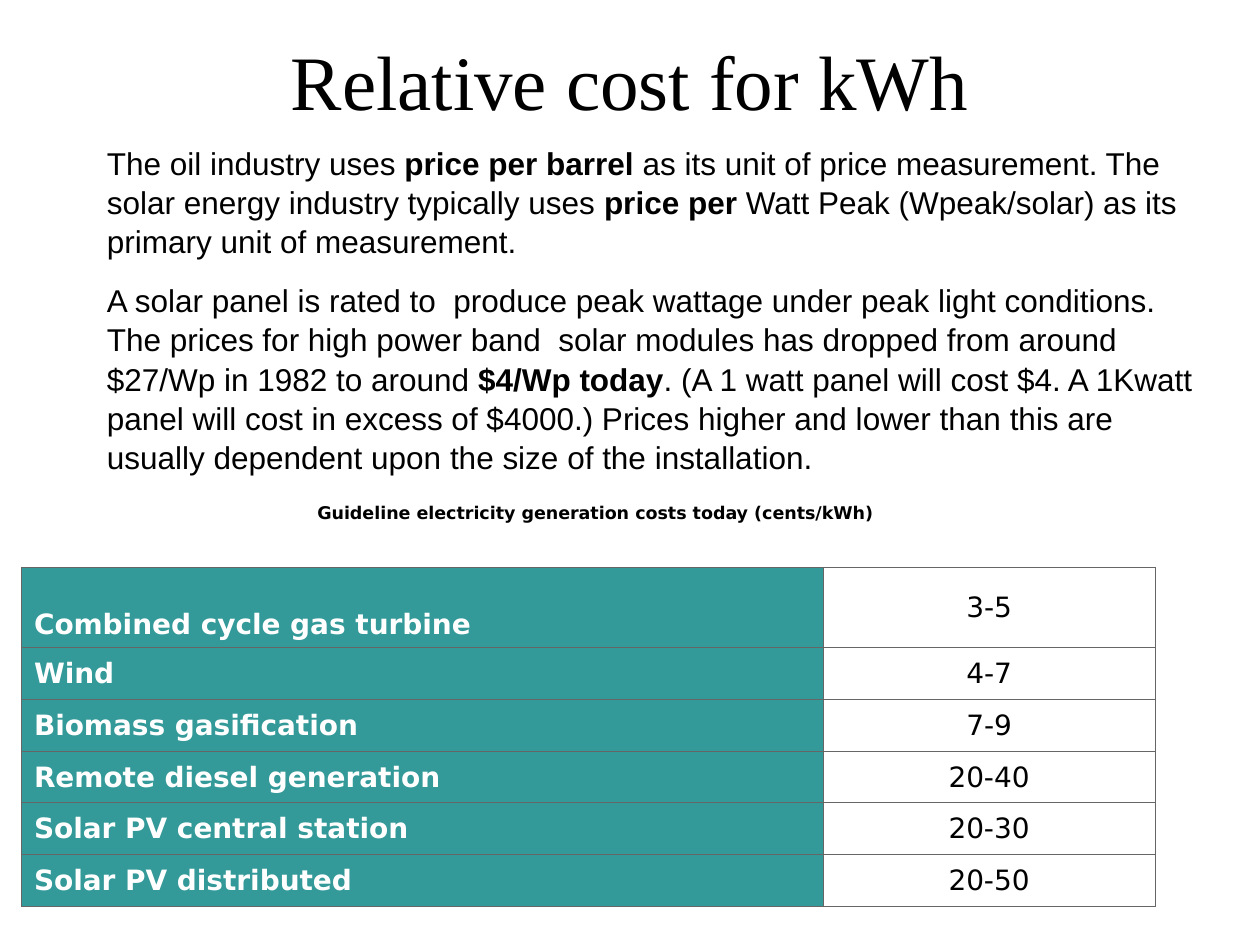
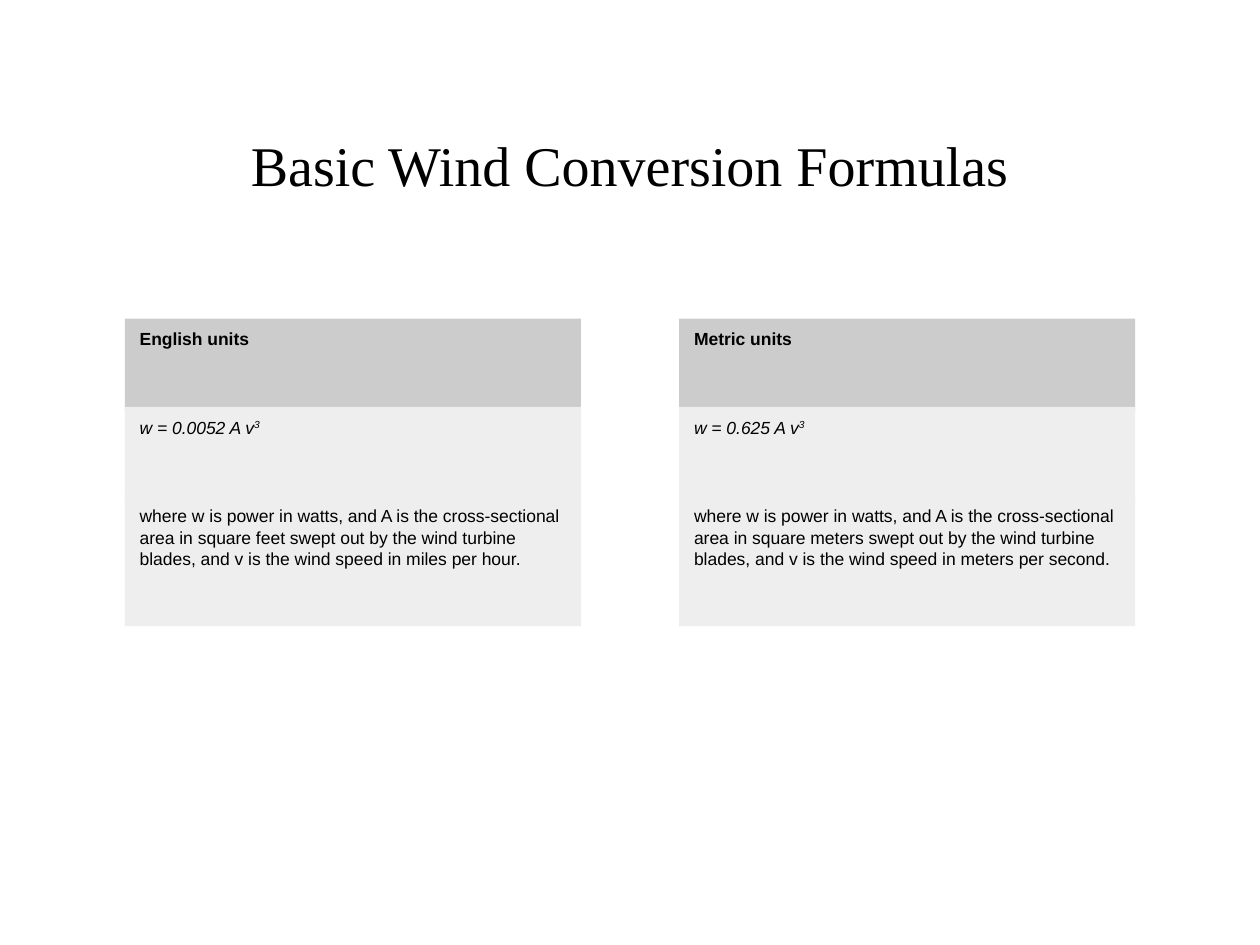
from typing import NamedTuple

from lxml.etree import SubElement
from pptx import Presentation
from pptx.dml.color import RGBColor
from pptx.enum.shapes import MSO_SHAPE
from pptx.enum.text import MSO_ANCHOR, MSO_AUTO_SIZE, PP_ALIGN
from pptx.oxml.ns import qn
from pptx.util import Emu, Inches, Pt

WIDE, HIGH = Inches(10), Inches(7.5)
COLS, ROWS = 100, 75  # grid that all boxes are placed on

BLACK, WHITE = "000000", "FFFFFF"
TEAL, RULE = "339999", "666666"
HEAD, PALE = "CCCCCC", "EEEEEE"
SERIF, SANS, TABLE = "Times New Roman", "Arial", "DejaVu Sans"
LEAD = 1.04


class Box(NamedTuple):
    """Place and size in grid columns and rows."""
    col: float
    row: float
    wide: float
    high: float

    def emu(self) -> tuple:
        return (across(self.col), down(self.row),
                across(self.wide), down(self.high))


class Piece(NamedTuple):
    text: str
    bold: bool = False
    slant: bool = False
    lift: bool = False


class Style(NamedTuple):
    font: str
    size: float
    ink: str = BLACK
    align: PP_ALIGN = PP_ALIGN.LEFT
    gap: float = 0


class Band(NamedTuple):
    """One row of the unit panels."""
    high: float
    fill: str
    texts: list


BODY = Style(SANS, 18, gap=11.2)
NOTE = Style(TABLE, 10)
SMALL = Style(SANS, 10)
LABEL = Style(TABLE, 16, WHITE)
VALUE = Style(TABLE, 16, align=PP_ALIGN.CENTER)

PROSE = [
    [Piece("The oil industry uses "), Piece("price per barrel", bold=True),
     Piece(" as its unit of price measurement. The solar energy industry "
           "typically uses "),
     Piece("price per ", bold=True),
     Piece("Watt Peak (Wpeak/solar) as its primary unit of measurement.")],
    [Piece("A solar panel is rated to  produce peak wattage under peak light "
           "conditions. The prices for high power band  solar modules has "
           "dropped from around $27/Wp in 1982 to around "),
     Piece("$4/Wp today", bold=True),
     Piece(". (A 1 watt panel will cost $4. A 1Kwatt panel will cost in "
           "excess of $4000.) Prices higher and lower than this are usually "
           "dependent upon the size of the installation.")],
]
COSTS = [
    ("Combined cycle gas turbine", "3-5"),
    ("Wind", "4-7"),
    ("Biomass gasification", "7-9"),
    ("Remote diesel generation", "20-40"),
    ("Solar PV central station", "20-30"),
    ("Solar PV distributed", "20-50"),
]


def across(cols: float) -> Emu:
    return Emu(round(WIDE * cols / COLS))


def down(rows: float) -> Emu:
    return Emu(round(HIGH * rows / ROWS))


def tint(code: str) -> RGBColor:
    return RGBColor.from_string(code)


def apply(target, values: dict) -> None:
    for name, value in values.items():
        setattr(target, name, value)


def write(frame, paras: list, style: Style) -> None:
    for num, pieces in enumerate(paras):
        para = frame.add_paragraph() if num else frame.paragraphs[0]
        apply(para, {"alignment": style.align, "line_spacing": LEAD,
                     "space_before": Pt(style.gap if num else 0)})
        for piece in pieces:
            run = para.add_run()
            run.text = piece.text
            apply(run.font, {"name": style.font, "size": Pt(style.size),
                             "bold": piece.bold, "italic": piece.slant})
            run.font.color.rgb = tint(style.ink)
            if piece.lift:
                run._r.get_or_add_rPr().set("baseline", "30000")


def start(deck, text: str, size: float, box: Box):
    """Add a slide with its title."""
    slide = deck.slides.add_slide(deck.slide_layouts[5])
    title = slide.shapes.title
    apply(title, dict(zip(("left", "top", "width", "height"), box.emu())))
    apply(title.text_frame, {"word_wrap": True,
                             "auto_size": MSO_AUTO_SIZE.NONE,
                             "vertical_anchor": MSO_ANCHOR.MIDDLE})
    write(title.text_frame, [[Piece(text)]],
          Style(SERIF, size, align=PP_ALIGN.CENTER))
    return slide


def prose(slide, box: Box, paras: list, style: Style) -> None:
    frame = slide.shapes.add_textbox(*box.emu()).text_frame
    frame.word_wrap = True
    write(frame, paras, style)


def panel(slide, box: Box, fill: str):
    shape = slide.shapes.add_shape(MSO_SHAPE.RECTANGLE, *box.emu())
    shape.shadow.inherit = False
    shape.fill.solid()
    shape.fill.fore_color.rgb = tint(fill)
    shape.line.fill.background()
    return shape


def frame_cell(cell) -> None:
    """Draw thin rules round a cell; call before its fill is set."""
    props = cell._tc.get_or_add_tcPr()
    for side in ("a:lnL", "a:lnR", "a:lnT", "a:lnB"):
        line = SubElement(props, qn(side), w=str(Pt(0.34)))
        solid = SubElement(line, qn("a:solidFill"))
        SubElement(solid, qn("a:srgbClr"), val=RULE)


def cost_table(slide) -> None:
    box = Box(1.7, 45, 90, 26.9)
    table = slide.shapes.add_table(len(COSTS), 2, *box.emu()).table
    apply(table, {"first_row": False, "horz_banding": False})
    for col, wide in zip(table.columns, (63.6, 26.4)):
        col.width = across(wide)
    for num, texts in enumerate(COSTS):
        table.rows[num].height = down(4.1 if num else 6.4)
        for col, text in enumerate(texts):
            cell = table.cell(num, col)
            label = col == 0
            low = label and num == 0
            frame_cell(cell)
            if label:
                cell.fill.solid()
                cell.fill.fore_color.rgb = tint(TEAL)
            else:
                cell.fill.background()
            cell.vertical_anchor = (MSO_ANCHOR.BOTTOM if low
                                    else MSO_ANCHOR.MIDDLE)
            write(cell.text_frame, [[Piece(text, bold=label)]],
                  LABEL if label else VALUE)


def formula(factor: str) -> list:
    return [Piece(f"w = {factor} A v", slant=True),
            Piece("3", slant=True, lift=True)]


def legend(area: str, speed: str) -> list:
    return [Piece("where w is power in watts, and A is the cross-sectional "
                  f"area in square {area} swept out by the wind turbine "
                  f"blades, and v is the wind speed in {speed}.")]


def unit_grid(slide) -> None:
    bands = [
        Band(7.4, HEAD, [[Piece("English units", bold=True)],
                         [Piece("Metric units", bold=True)]]),
        Band(7.4, PALE, [formula("0.0052"), formula("0.625")]),
        Band(10.4, PALE, [legend("feet", "miles per hour"),
                          legend("meters", "meters per second")]),
    ]
    for num, band in enumerate(bands):
        for col, pieces in enumerate(band.texts):
            left, top = 9.9 + 44 * col, 25.3 + 7 * num
            panel(slide, Box(left, top, 36.2, band.high), band.fill)
            inner = Box(left + 0.2, top + 0.2, 35.8, band.high - 1.2)
            frame = panel(slide, inner, band.fill).text_frame
            apply(frame, {"word_wrap": True,
                          "vertical_anchor": MSO_ANCHOR.TOP})
            write(frame, [pieces], SMALL)


def main() -> None:
    deck = Presentation()
    apply(deck, {"slide_width": WIDE, "slide_height": HIGH})

    cost = start(deck, "Relative cost for kWh", 44, Box(7.5, 3.3, 85, 5.8))
    prose(cost, Box(7.5, 10.8, 90, 26.6), PROSE, BODY)
    prose(cost, Box(24.2, 39.3, 50.8, 4.7),
          [[Piece("Guideline electricity generation costs today (cents/kWh)",
                  bold=True)]], NOTE)
    cost_table(cost)

    wind = start(deck, "Basic Wind Conversion Formulas", 32,
                 Box(7.5, 6.7, 85, 12.5))
    unit_grid(wind)
    deck.save("out.pptx")


if __name__ == "__main__":
    main()
